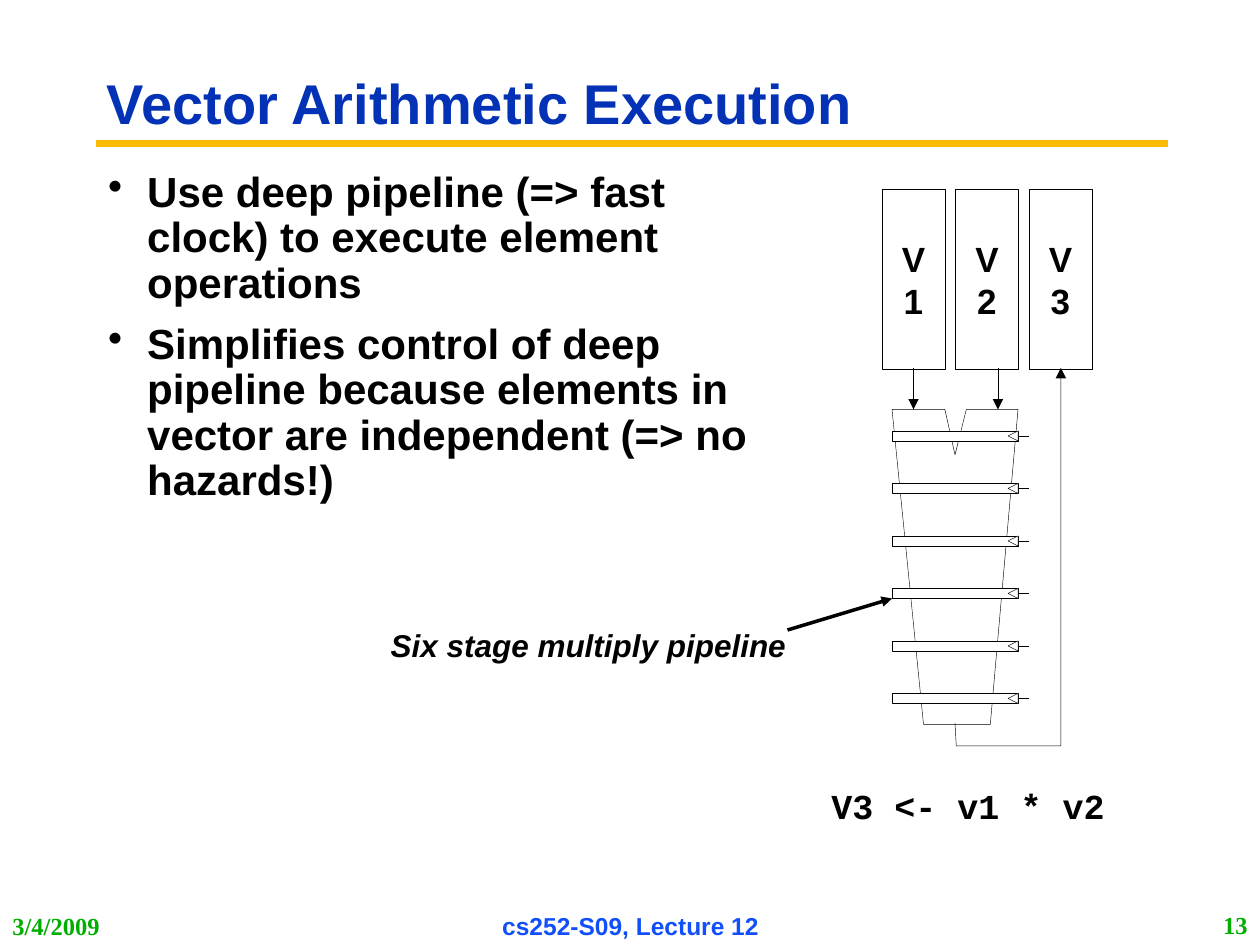
from pptx import Presentation
from pptx.dml.color import RGBColor
from pptx.enum.shapes import MSO_CONNECTOR, MSO_SHAPE
from pptx.enum.text import MSO_ANCHOR, MSO_AUTO_SIZE, PP_ALIGN
from pptx.oxml.ns import qn
from pptx.util import Inches, Pt
from lxml.etree import SubElement

COLORS = {
    "black": "000000",
    "white": "FFFFFF",
    "title": "0332B7",
    "rule": "FBBA03",
    "footer": "114FFB",
    "green": "00AE00",
}
THIN = 0.25


def rgb(name):
    return RGBColor.from_string(COLORS[name])


class SlideBuilder:
    """Holds the text style and the slide being drawn."""

    def __init__(self, slide, font="Arial", size=20):
        self.slide = slide
        self.font = font
        self.size = size

    def style(self, sp, fill=None):
        sp.shadow.inherit = False
        if fill:
            sp.fill.solid()
            sp.fill.fore_color.rgb = rgb(fill)
        else:
            sp.fill.background()
        self.stroke(sp)

    def stroke(self, sp, color="black", width=THIN, arrow=False):
        sp.line.color.rgb = rgb(color)
        sp.line.width = Pt(width)
        if arrow:
            ln = sp.line._get_or_add_ln()
            SubElement(ln, qn("a:tailEnd"), type="triangle")

    def styled_run(self, p, text, size=None, font=None, color="black", italic=None):
        r = p.add_run()
        r.text = text
        r.font.name = font or self.font
        r.font.size = Pt(size or self.size)
        r.font.bold = True
        r.font.italic = italic
        r.font.color.rgb = rgb(color)

    def rect(self, x, y, w, h, fill=None, text=None, parent=None):
        shapes = (parent or self.slide).shapes
        sp = shapes.add_shape(MSO_SHAPE.RECTANGLE, Inches(x), Inches(y), Inches(w), Inches(h))
        self.style(sp, fill)
        if text:
            tf = sp.text_frame
            tf.word_wrap = True
            tf.vertical_anchor = MSO_ANCHOR.MIDDLE
            p = tf.paragraphs[0]
            p.alignment = PP_ALIGN.CENTER
            p.space_before = Pt(12.5)
            self.styled_run(p, text)

    def line(self, start, end, parent=None, **stroke):
        shapes = (parent or self.slide).shapes
        ends = [Inches(v) for v in (*start, *end)]
        cn = shapes.add_connector(MSO_CONNECTOR.STRAIGHT, *ends)
        self.stroke(cn, **stroke)
        SubElement(cn._element.spPr, qn("a:effectLst"))

    def outline(self, points, fill=None, closed=True, arrow=False, parent=None):
        shapes = (parent or self.slide).shapes
        first, *rest = [(Inches(x), Inches(y)) for x, y in points]
        fb = shapes.build_freeform(*first)
        fb.add_line_segments(rest, close=closed)
        sp = fb.convert_to_shape()
        self.style(sp, fill)
        self.stroke(sp, arrow=arrow)

    def box(self, x, y, w, h, anchor=MSO_ANCHOR.MIDDLE, wrap=True):
        tb = self.slide.shapes.add_textbox(Inches(x), Inches(y), Inches(w), Inches(h))
        tf = tb.text_frame
        tf.word_wrap = wrap
        tf.vertical_anchor = anchor
        if not wrap:
            tf.auto_size = MSO_AUTO_SIZE.SHAPE_TO_FIT_TEXT
        return tf

    def text(self, x, y, w, h, text, align=PP_ALIGN.LEFT, anchor=MSO_ANCHOR.MIDDLE,
             wrap=True, before=0, spacing=None, **run):
        p = self.box(x, y, w, h, anchor, wrap).paragraphs[0]
        p.alignment = align
        p.space_before = Pt(before)
        p.line_spacing = spacing
        self.styled_run(p, text, **run)

    def bullets(self, x, y, w, h, items, size):
        tf = self.box(x, y, w, h, MSO_ANCHOR.TOP)
        for i, item in enumerate(items):
            p = tf.add_paragraph() if i else tf.paragraphs[0]
            p.line_spacing = 0.9
            p.space_before = Pt(9)
            pPr = p._p.get_or_add_pPr()
            pPr.set("marL", str(Inches(0.31)))
            pPr.set("indent", str(-Inches(0.31)))
            color = SubElement(pPr, qn("a:buClr"))
            SubElement(color, qn("a:srgbClr"), val=COLORS["black"])
            SubElement(pPr, qn("a:buChar"), char="•")
            self.styled_run(p, item, size=size)

    def latch(self, x, y, w=1, h=0.08):
        """Pipeline register with its clock mark and clock wire."""
        group = self.slide.shapes.add_group_shape()
        right, mid = x + w, y + h / 2
        self.rect(x, y, w, h, fill="white", parent=group)
        self.outline([(right, y + h), (right - h, mid), (right, y)], fill="white", parent=group)
        self.line((right + 0.01, mid), (right + 0.09, mid), parent=group)


def main():
    prs = Presentation()
    prs.slide_width, prs.slide_height = Inches(10), Inches(7.5)
    s = SlideBuilder(prs.slides.add_slide(prs.slide_layouts[6]))

    # Title and rule
    s.line((0.76, 1.14), (9.27, 1.14), color="rule", width=3.75)
    s.text(0.75, 0.44, 7.98, 0.81, "Vector Arithmetic Execution",
           spacing=0.9, size=32, color="title")

    # Main points
    s.bullets(0.76, 1.31, 5.49, 5.39, [
        "Use deep pipeline (=> fast clock) to execute element operations",
        "Simplifies control of deep pipeline because elements in vector "
        "are independent (=> no hazards!)",
    ], size=24)

    # Multiplier outline and its six evenly spaced stages
    s.outline([(7.08, 3.25), (7.33, 5.75), (7.86, 5.75), (8.08, 3.25),
               (7.67, 3.25), (7.58, 3.61), (7.5, 3.25)])
    for stage in range(6):
        s.latch(7.08, 3.42 + stage * 5 / 12)

    # Operand inputs and the result path back to V3
    for x in (7.25, 7.92):
        s.line((x, 2.92), (x, 3.25), arrow=True)
    s.outline([(7.58, 5.74), (7.59, 5.92), (8.42, 5.92), (8.42, 2.92)],
              closed=False, arrow=True)

    # Vector registers
    for i, name in enumerate(("V1", "V2", "V3")):
        s.rect(7 + i * 7 / 12, 1.5, 0.5, 1.43, text=name)

    # Labels
    s.text(6.5, 6.17, 2.37, 0.44, "V3 <- v1 * v2", wrap=False, before=12.5,
           font="Courier New")
    s.text(3, 4.92, 3.34, 0.4, "Six stage multiply pipeline", PP_ALIGN.CENTER,
           MSO_ANCHOR.TOP, wrap=False, before=11.2, size=18, italic=True)
    s.line((6.25, 5), (7.08, 4.75), width=2, arrow=True)

    # Footer
    s.text(3.42, 7.19, 3.17, 0.31, "cs252-S09, Lecture 12", PP_ALIGN.CENTER,
           size=14, color="footer")
    stamp = {"size": 14, "font": "Times New Roman", "color": "green"}
    s.text(7.92, 7.18, 2.08, 0.32, "13", PP_ALIGN.RIGHT, **stamp)
    s.text(0, 7.19, 2.08, 0.31, "3/4/2009", **stamp)

    prs.save("out.pptx")


if __name__ == "__main__":
    main()
